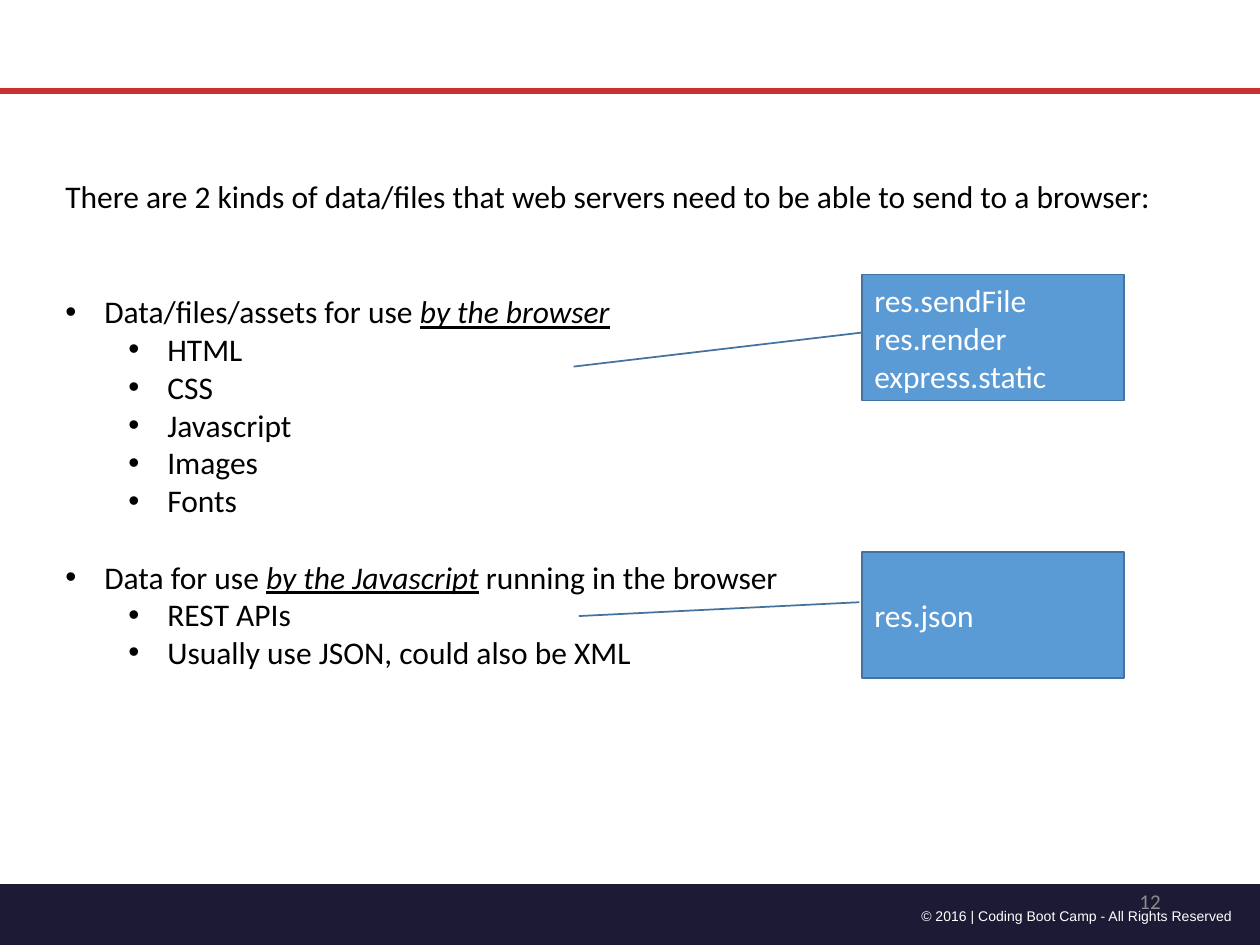
import dataclasses

import pptx
import pptx.dml.color
import pptx.enum.shapes
import pptx.enum.text
import pptx.oxml.ns
import pptx.util
from lxml import etree

SHAPE = pptx.enum.shapes.MSO_SHAPE
ALIGN = pptx.enum.text.PP_ALIGN
ANCHOR = pptx.enum.text.MSO_ANCHOR
COLS, ROWS = 100, 75


@dataclasses.dataclass(frozen=True)
class Theme:
    navy: str = "1D1A36"
    red: str = "C83232"
    blue: str = "5B9BD5"
    edge: str = "43739E"
    gray: str = "8C8C8C"
    black: str = "000000"
    white: str = "FFFFFF"
    font: str = "Calibri"
    plain: str = "Arial"
    body: float = 18
    small: float = 12
    tiny: float = 8
    gap: float = 22  # one line of body text


def color(code):
    return pptx.dml.color.RGBColor.from_string(code)


class Deck:
    def __init__(self, theme):
        self.theme = theme
        self.file = pptx.Presentation()
        self.file.slide_width = pptx.util.Inches(10)
        self.file.slide_height = pptx.util.Inches(7.5)
        self.slide = self.file.slides.add_slide(self.file.slide_layouts[6])

    def place(self, col, row, wide=0, high=0):
        """Turn grid columns and rows into slide lengths."""
        across = self.file.slide_width / COLS
        down = self.file.slide_height / ROWS
        return [round(n) for n in (col * across, row * down, wide * across, high * down)]

    def style(self, para, size, ink, font):
        for run in para.runs:
            run.font.size = pptx.util.Pt(size)
            run.font.name = font
            run.font.color.rgb = color(ink)

    def shape(self, kind, area, fill, edge=None):
        item = self.slide.shapes.add_shape(kind, *self.place(*area))
        item.shadow.inherit = False
        item.fill.solid()
        item.fill.fore_color.rgb = color(fill)
        if edge:
            item.line.color.rgb = color(edge)
            item.line.width = pptx.util.Pt(1)
        else:
            item.line.fill.background()
        return item

    def rule(self, row, ink, width):
        left, top, right, _ = self.place(0, row, COLS)
        line = self.slide.shapes.add_connector(
            pptx.enum.shapes.MSO_CONNECTOR.STRAIGHT, left, top, right, top)
        line.line.color.rgb = color(ink)
        line.line.width = pptx.util.Pt(width)
        etree.SubElement(line._element.spPr, pptx.oxml.ns.qn("a:effectLst"))

    def box(self, area):
        frame = self.slide.shapes.add_textbox(*self.place(*area)).text_frame
        frame.word_wrap = True
        return frame

    def label(self, text, area, size, ink, font, anchor=ANCHOR.TOP):
        frame = self.box(area)
        frame.text = text
        frame.vertical_anchor = anchor
        para = frame.paragraphs[0]
        para.alignment = ALIGN.RIGHT
        self.style(para, size, ink, font)

    def callout(self, text, area, tail):
        look = self.theme
        item = self.shape(SHAPE.LINE_CALLOUT_1, area, look.blue, look.edge)
        for spot, value in enumerate(tail):
            item.adjustments[spot] = value
        frame = item.text_frame
        frame.text = text
        frame.vertical_anchor = ANCHOR.MIDDLE
        for para in frame.paragraphs:
            para.alignment = ALIGN.LEFT
            self.style(para, look.body, look.white, look.font)

    def bullet(self, para, level):
        para.level = level
        props = para._p.get_or_add_pPr()
        props.set("marL", str(pptx.util.Inches(0.31 + level / 2)))
        props.set("indent", str(pptx.util.Inches(-0.31)))
        font = etree.SubElement(props, pptx.oxml.ns.qn("a:buFont"))
        font.set("typeface", self.theme.plain)
        mark = etree.SubElement(props, pptx.oxml.ns.qn("a:buChar"))
        mark.set("char", "•")

    def outline(self, intro, groups, area):
        """Write an intro, then topics with sub-bullets; *stars* mark stress."""
        look = self.theme
        frame = self.box(area)
        frame.text = intro
        self.style(frame.paragraphs[0], look.body, look.black, look.font)
        for lines, topic, items in groups:
            for spot, text in enumerate([topic, *items]):
                para = frame.add_paragraph()
                if spot == 0:
                    para.space_before = pptx.util.Pt(lines * look.gap)
                self.bullet(para, min(spot, 1))
                for turn, part in enumerate(text.split("*")):
                    if part:
                        run = para.add_run()
                        run.text = part
                        run.font.italic = run.font.underline = turn % 2 == 1
                self.style(para, look.body, look.black, look.font)


def main():
    look = Theme()
    deck = Deck(look)
    deck.shape(SHAPE.FLOWCHART_PROCESS, (0, 70.2, COLS, 5), look.navy)
    deck.label("© 2016 | Coding Boot Camp - All Rights Reserved",
               (68.3, 71.5, 30.5, 2.4), look.tiny, look.white, look.plain)
    deck.rule(7.2, look.red, 3.25)
    deck.label("12", (70.6, 69.5, 22.5, 4), look.small, look.gray, look.font,
               ANCHOR.MIDDLE)
    deck.outline(
        "There are 2 kinds of data/files that web servers need to be able"
        " to send to a browser:",
        [(2, "Data/files/assets for use *by the browser*",
          ["HTML", "CSS", "Javascript", "Images", "Fonts"]),
         (1, "Data for use *by the Javascript* running in the browser",
          ["REST APIs", "Usually use JSON, could also be XML"])],
        (4.2, 13.6, 89.3, 40.4))
    for text, row, tail in (
            ("res.sendFile\nres.render\nexpress.static", 21.8,
             (0.46, 0, 0.73, -1.1)),
            ("res.json", 43.8, (0.4, -0.01, 0.51, -1.08))):
        deck.callout(text, (68.4, row, 20.8, 10), tail)
    deck.file.save("out.pptx")


if __name__ == "__main__":
    main()
